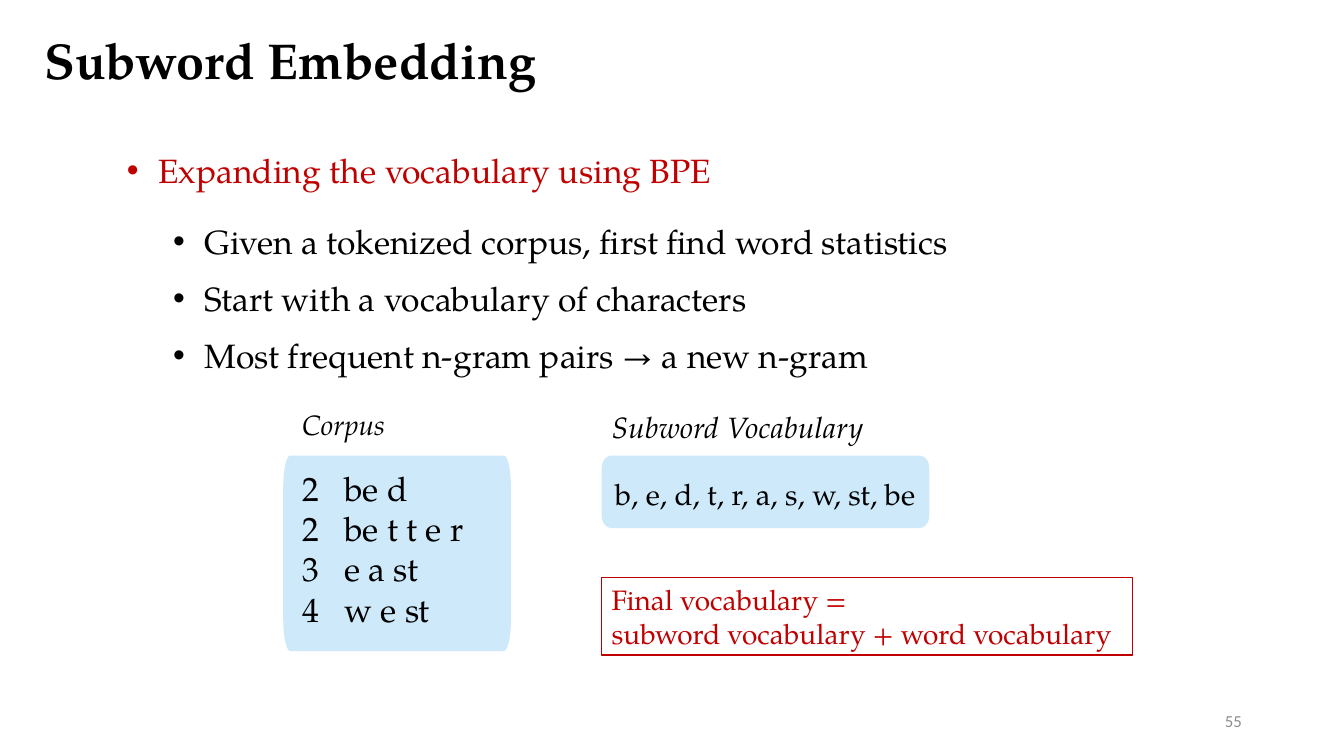
from math import cos, pi, sin

from lxml.etree import SubElement
from pptx import Presentation
from pptx.dml.color import RGBColor
from pptx.enum.shapes import MSO_SHAPE
from pptx.enum.text import MSO_ANCHOR, MSO_AUTO_SIZE, PP_ALIGN
from pptx.oxml.ns import qn
from pptx.util import Pt

BLACK = RGBColor(0x00, 0x00, 0x00)
RED = RGBColor(0xC0, 0x00, 0x00)
GRAY = RGBColor(0x8C, 0x8C, 0x8C)
PALE_BLUE = RGBColor(0xCE, 0xE9, 0xFA)
SERIF = "TeX Gyre Pagella"
BULLET_INDENT = 22.5
CORNER_STEPS = 6


class SlideBuilder:
    def __init__(self, slide):
        self.slide = slide
        self.style = {"name": SERIF, "size": Pt(24), "bold": False, "italic": False}

    def fill_frame(self, frame, lines, color=BLACK, layout=None, **font):
        """Fill a text frame, one paragraph per line, in the slide's style."""
        frame.word_wrap = True
        frame.auto_size = MSO_AUTO_SIZE.NONE
        frame.vertical_anchor = MSO_ANCHOR.TOP
        paragraphs = []
        for index, line in enumerate(lines):
            paragraph = frame.paragraphs[0] if index == 0 else frame.add_paragraph()
            for key, value in {"alignment": PP_ALIGN.LEFT, **(layout or {})}.items():
                setattr(paragraph, key, value)
            run = paragraph.add_run()
            run.text = line
            for key, value in {**self.style, **font}.items():
                setattr(run.font, key, value)
            run.font.color.rgb = color
            paragraphs.append(paragraph)
        return paragraphs

    def title(self, box, text):
        title = self.slide.shapes.title
        for key, value in zip(("left", "top", "width", "height"), box):
            setattr(title, key, Pt(value))
        self.fill_frame(title.text_frame, [text], size=Pt(36), bold=True)

    def text(self, box, lines, **options):
        frame = self.slide.shapes.add_textbox(*map(Pt, box)).text_frame
        return frame, self.fill_frame(frame, lines, **options)

    def bullets(self, box, lines, color=BLACK):
        _, paragraphs = self.text(box, lines, color=color)
        for paragraph in paragraphs:
            properties = paragraph._p.get_or_add_pPr()
            properties.set("marL", str(Pt(BULLET_INDENT)))
            properties.set("indent", str(-Pt(BULLET_INDENT)))
            SubElement(properties, qn("a:buFont"), typeface="Arial")
            SubElement(properties, qn("a:buChar"), char="•")
        for paragraph in paragraphs[:-1]:
            paragraph.space_after = Pt(12)

    def counts(self, box, words, tab):
        """List (count, pieces) rows with the pieces aligned at a tab stop."""
        _, rows = self.text(box, [f"{count}\t{pieces}" for count, pieces in words])
        for row in rows:
            tabs = SubElement(row._p.get_or_add_pPr(), qn("a:tabLst"))
            SubElement(tabs, qn("a:tab"), pos=str(Pt(tab)), algn="l")

    def panel(self, box, radius_x, radius_y):
        """Draw a filled panel whose corners are quarter ellipses."""
        left, top, width, height = box
        right, bottom = left + width, top + height
        centers = [(right - radius_x, bottom - radius_y), (left + radius_x, bottom - radius_y),
                   (left + radius_x, top + radius_y), (right - radius_x, top + radius_y)]
        points = []
        for quarter, (x, y) in enumerate(centers):
            for step in range(CORNER_STEPS + 1):
                angle = (quarter + step / CORNER_STEPS) * pi / 2
                points.append((Pt(x + radius_x * cos(angle)), Pt(y + radius_y * sin(angle))))
        outline = self.slide.shapes.build_freeform(*points[0])
        outline.add_line_segments(points[1:], close=True)
        panel = outline.convert_to_shape()
        panel.shadow.inherit = False
        panel.fill.solid()
        panel.fill.fore_color.rgb = PALE_BLUE
        panel.line.fill.background()

    def framed_text(self, box, lines, color, **font):
        frame = self.slide.shapes.add_shape(MSO_SHAPE.RECTANGLE, *map(Pt, box))
        frame.shadow.inherit = False
        frame.fill.background()
        frame.line.color.rgb = color
        frame.line.width = Pt(1)
        self.fill_frame(frame.text_frame, lines, color=color, **font)

    def vocabulary(self, box, heading, pieces):
        frame, (label, content) = self.text(box, [heading, pieces], size=Pt(21))
        margins = {"margin_left": 0, "margin_top": Pt(1.7), "margin_right": 0, "margin_bottom": 0}
        for key, value in margins.items():
            setattr(frame, key, value)
        label.runs[0].font.italic = True
        label.runs[0]._r.get_or_add_rPr().set("spc", "20")
        label.space_after = Pt(6)
        content.space_before = Pt(17.3)
        for paragraph, indent in ((label, 0.7), (content, 2.9)):
            paragraph._p.get_or_add_pPr().set("marL", str(Pt(indent)))


def main():
    presentation = Presentation()
    presentation.slide_width, presentation.slide_height = Pt(960), Pt(540)
    builder = SlideBuilder(presentation.slides.add_slide(presentation.slide_layouts[5]))

    builder.title((24.5, 17.3, 572.5, 51), "Subword Embedding")
    builder.bullets((83.5, 103.7, 524, 36), ["Expanding the vocabulary using BPE"], RED)
    builder.bullets((116.6, 154.1, 598, 119), [
        "Given a tokenized corpus, first find word statistics",
        "Start with a vocabulary of characters",
        "Most frequent n-gram pairs → a new n-gram",
    ])

    builder.panel((202.3, 325.4, 162.7, 139.7), 5, 23)
    builder.panel((429.8, 325.4, 234, 51.8), 7.2, 8.6)
    builder.text((208.8, 287.3, 80, 31.7), ["Corpus"], size=Pt(20), italic=True)
    builder.counts((208.8, 330.5, 196.5, 123.8), [
        (2, "be d"), (2, "be t t e r"), (3, "e a st"), (4, "w e st"),
    ], tab=30)
    builder.vocabulary((436.3, 290.2, 253.4, 74.9), "Subword Vocabulary",
                       "b, e, d, t, r, a, s, w, st, be")
    builder.framed_text((429.8, 412.6, 379.4, 55.4), [
        "Final vocabulary =", "subword vocabulary + word vocabulary",
    ], RED, size=Pt(20))

    number, _ = builder.text((678.2, 500.4, 216, 28.8), ["55"], color=GRAY, name="Calibri",
                             size=Pt(12), layout={"alignment": PP_ALIGN.RIGHT})
    number.vertical_anchor = MSO_ANCHOR.MIDDLE
    presentation.save("out.pptx")


if __name__ == "__main__":
    main()
